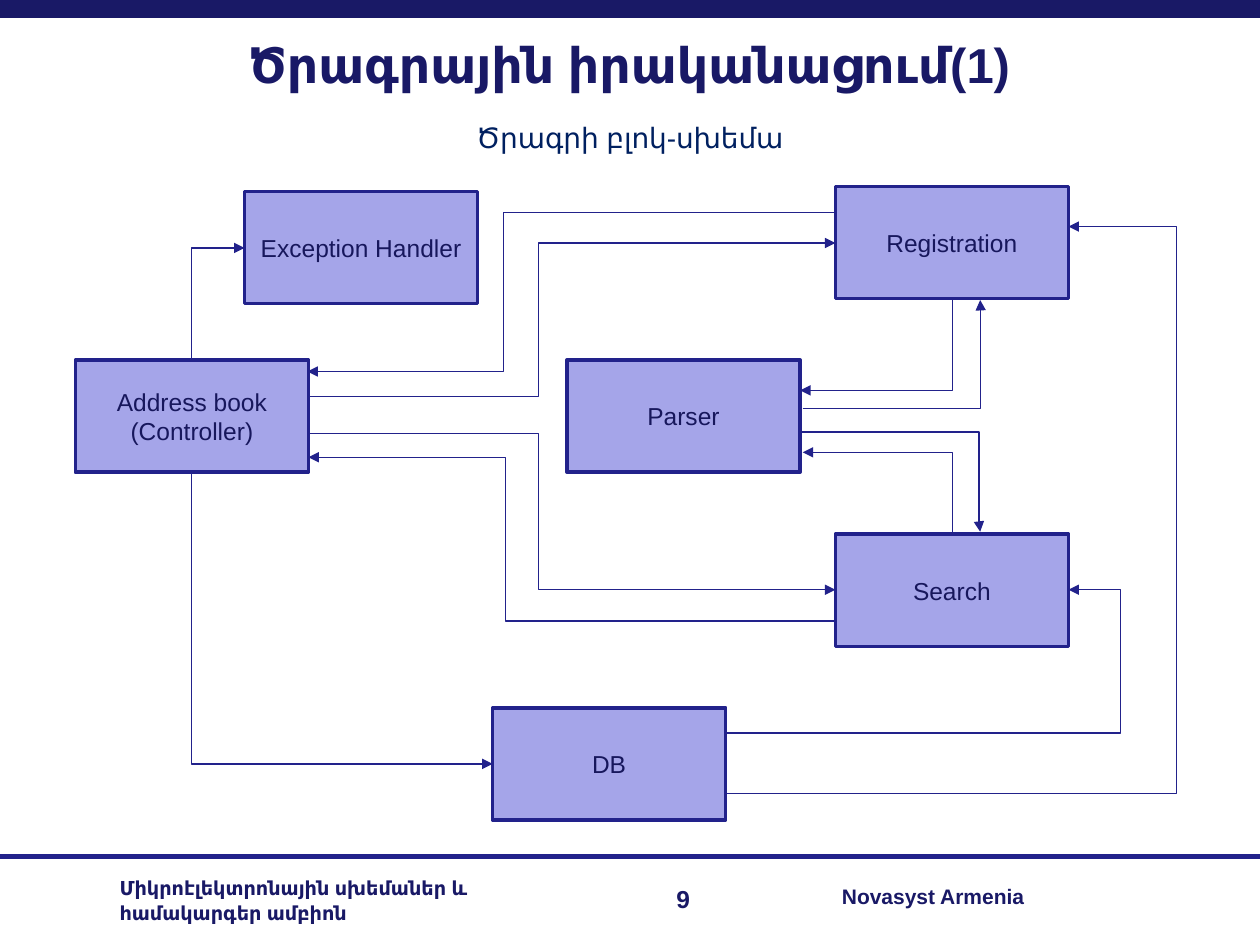
import pptx
import pptx.util
import pptx.dml.color
import pptx.enum.shapes
import pptx.enum.text
import pptx.oxml
import pptx.oxml.ns

Cm = pptx.util.Cm
Pt = pptx.util.Pt
Shape = pptx.enum.shapes.MSO_SHAPE
Link = pptx.enum.shapes.MSO_CONNECTOR
Align = pptx.enum.text.PP_ALIGN
Anchor = pptx.enum.text.MSO_ANCHOR

HUES = {
    "navy": "191966",
    "line": "22228B",
    "fill": "A5A5E9",
    "label": "17175C",
    "sub": "002060",
}
WIDE, HIGH = 4.7, 2.26


def hue(name):
    return pptx.dml.color.RGBColor.from_string(HUES[name])


def write(frame, text, size=14, color="navy", bold=False, align=Align.LEFT,
          anchor=Anchor.TOP, space=None):
    frame.word_wrap = True
    frame.vertical_anchor = anchor
    for i, line in enumerate(text.split("\n")):
        para = frame.paragraphs[0] if i == 0 else frame.add_paragraph()
        para.alignment = align
        if space:
            para.line_spacing = space
        run = para.add_run()
        run.text = line
        run.font.name = "Arial"
        run.font.size = Pt(size)
        run.font.bold = bold
        run.font.color.rgb = hue(color)


class Chart:
    def __init__(self, slide):
        self.slide = slide
        self.line = "line"
        self.thin = 0.75

    def text(self, x, y, wide, high, text, **style):
        box = self.slide.shapes.add_textbox(Cm(x), Cm(y), Cm(wide), Cm(high))
        write(box.text_frame, text, **style)

    def block(self, kind, x, y, wide, high, fill):
        shape = self.slide.shapes.add_shape(kind, Cm(x), Cm(y), Cm(wide), Cm(high))
        shape.shadow.inherit = False
        shape.fill.solid()
        shape.fill.fore_color.rgb = hue(fill)
        return shape

    def bar(self, x, y, wide, high):
        self.block(Shape.RECTANGLE, x, y, wide, high, "navy").line.fill.background()

    def node(self, x, y, text):
        shape = self.block(Shape.FLOWCHART_PROCESS, x, y, WIDE, HIGH, "fill")
        shape.line.color.rgb = hue(self.line)
        shape.line.width = Pt(2)
        write(shape.text_frame, text, color="label", align=Align.CENTER,
              anchor=Anchor.MIDDLE)

    def wire(self, kind, start, end, width):
        wire = self.slide.shapes.add_connector(kind, *map(Cm, start + end))
        wire.line.color.rgb = hue(self.line)
        wire.line.width = Pt(width)
        pptx.oxml.ns.qn("a:effectLst")
        wire._element.spPr.append(pptx.oxml.parse_xml(
            "<a:effectLst %s/>" % pptx.oxml.ns.nsdecls("a")))
        return wire

    def rule(self, start, end):
        self.wire(Link.STRAIGHT, start, end, 3)

    def arrow(self, start, end):
        wire = self.wire(Link.ELBOW, start, end, self.thin)
        wire.line._get_or_add_ln().append(pptx.oxml.parse_xml(
            '<a:tailEnd %s type="triangle"/>' % pptx.oxml.ns.nsdecls("a")))
        return wire._element.spPr

    def step(self, start, end, bend):
        props = self.arrow(start, end)
        share = (bend - start[0]) / (end[0] - start[0])
        props.prstGeom.get_or_add_avLst().append(pptx.oxml.parse_xml(
            '<a:gd %s name="adj1" fmla="val %d"/>'
            % (pptx.oxml.ns.nsdecls("a"), round(share * 100000))))

    def turn(self, start, end):
        (x1, y1), (x2, y2) = start, end
        right, up = x2 > x1, y2 < y1
        mid, level = (x1 + x2) / 2, (y1 + y2) / 2
        dx = abs(y2 - y1) / 2 * (-1 if right else 1)
        dy = abs(x2 - x1) / 2 * (-1 if up else 1)
        props = self.arrow((mid - dx, level - dy), (mid + dx, level + dy))
        props.prstGeom.set("prst", "bentConnector2")
        angle = 90 if right == up else 270
        props.find(pptx.oxml.ns.qn("a:xfrm")).set("rot", str(angle * 60000))


NODES = [
    (1.52, 7.26, "Address book\n(Controller)"),
    (16.84, 10.77, "Search"),
    (16.84, 3.76, "Registration"),
    (9.93, 14.27, "DB"),
    (11.43, 7.26, "Parser"),
    (4.93, 3.86, "Exception Handler"),
]
TURNS = [
    ((3.86, 9.52), (9.93, 15.4)),
    ((19.2, 6.02), (16.13, 7.87)),
    ((19.2, 10.77), (16.18, 9.12)),
    ((3.86, 7.26), (4.93, 5)),
]
STEPS = [
    ((6.22, 8.74), (16.84, 11.89), 10.85),
    ((6.22, 8), (16.84, 4.9), 10.85),
    ((14.63, 14.78), (21.54, 11.89), 22.58),
    ((14.63, 16), (21.54, 4.57), 23.72),
    ((16.13, 8.71), (19.76, 10.72), 19.74),
    ((16.18, 8.23), (19.76, 6.05), 19.77),
    ((16.84, 12.52), (6.22, 9.22), 10.19),
    ((16.84, 4.29), (6.2, 7.49), 10.16),
]


def main():
    deck = pptx.Presentation()
    deck.slide_width, deck.slide_height = Cm(25.4), Cm(19.05)
    chart = Chart(deck.slides.add_slide(deck.slide_layouts[6]))
    chart.bar(0, 0, 25.4, 0.36)
    chart.text(15.7, 17.65, 5.2, 0.86, "Novasyst Armenia", size=12, bold=True,
               align=Align.RIGHT, space=1.08)
    chart.text(2.16, 17.5, 9, 1.73, "Միկրոէլեկտրոնային սխեմաներ և համակարգեր ամբիոն",
               size=11, bold=True, space=1.08)
    chart.text(12.62, 17.75, 1.54, 0.79, "9", bold=True, align=Align.RIGHT, space=0.93)
    chart.rule((0, 17.27), (25.4, 17.27))
    chart.text(1.27, 0.51, 22.83, 1.7, "Ծրագրային իրականացում(1)", size=28, bold=True,
               align=Align.CENTER, anchor=Anchor.MIDDLE, space=0.93)
    for node in NODES:
        chart.node(*node)
    for ends in TURNS:
        chart.turn(*ends)
    for route in STEPS:
        chart.step(*route)
    chart.text(0, 2.31, 25.4, 0.94, "Ծրագրի բլոկ-սխեմա", size=16, color="sub",
               align=Align.CENTER)
    deck.save("out.pptx")


if __name__ == "__main__":
    main()
